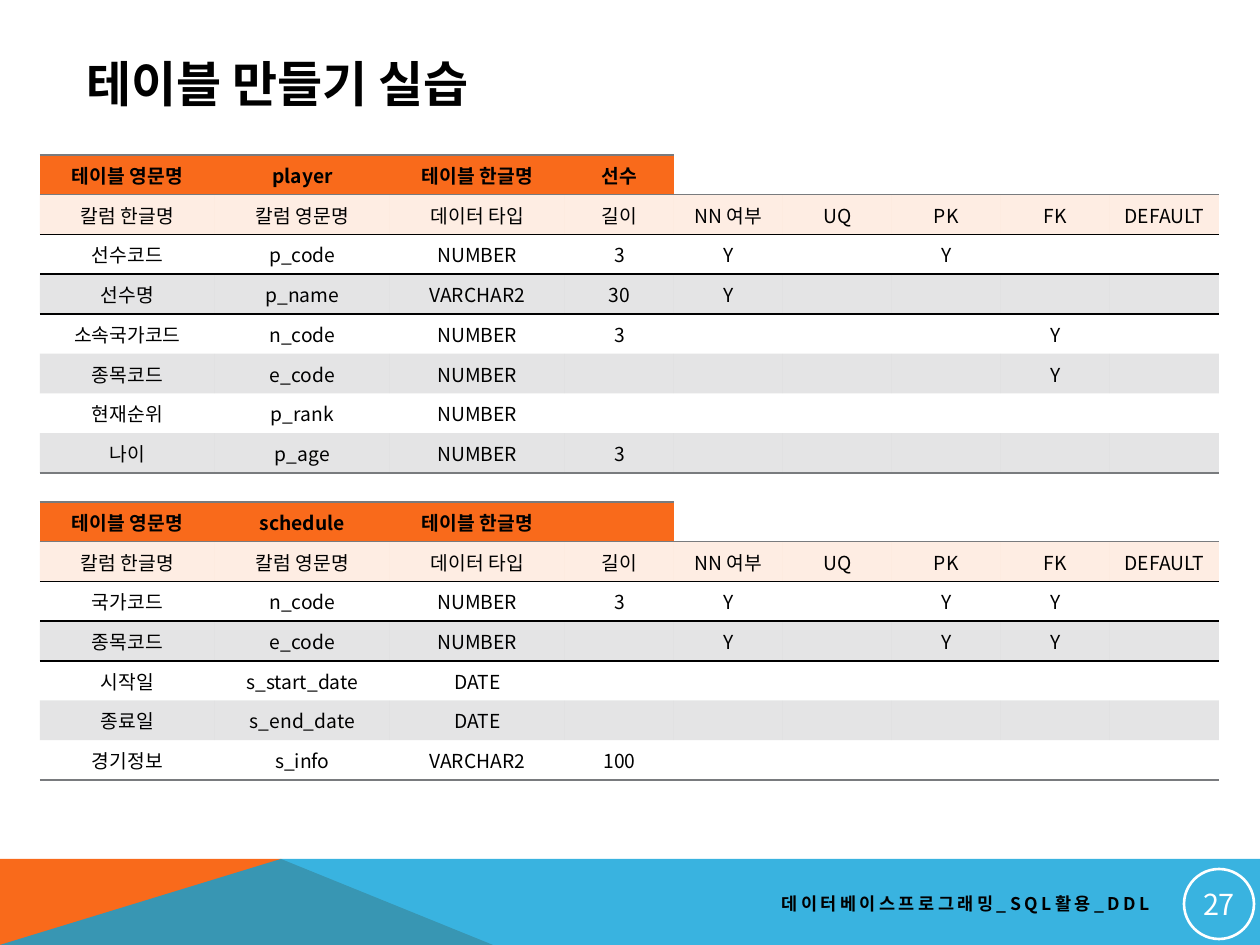
from lxml import etree
from pptx import Presentation, util as u
from pptx.dml.color import RGBColor
from pptx.enum import shapes, text
from pptx.oxml import ns

EMU_PER_PX = 914400 / 126
FONT = "Noto Sans CJK KR"
PLAIN_TABLE = "{2D5ABB26-0587-4C30-8999-92F81FD0307C}"

BLACK = RGBColor(0x00, 0x00, 0x00)
WHITE = RGBColor(0xFF, 0xFF, 0xFF)
ORANGE = RGBColor(0xF9, 0x6A, 0x1B)
PEACH = RGBColor(0xFB, 0xA6, 0x76)
BLUE = RGBColor(0x08, 0xA1, 0xD9)
GRAY = RGBColor(0x79, 0x7B, 0x7E)

COLUMN_WIDTHS = [175] * 3 + [109] * 6
FIELDS = ["칼럼 한글명", "칼럼 영문명", "데이터 타입", "길이",
          "NN 여부", "UQ", "PK", "FK", "DEFAULT"]
PLAYER = [
    ["테이블 영문명", "player", "테이블 한글명", "선수"],
    FIELDS,
    ["선수코드", "p_code", "NUMBER", "3", "Y", "", "Y"],
    ["선수명", "p_name", "VARCHAR2", "30", "Y"],
    ["소속국가코드", "n_code", "NUMBER", "3", "", "", "", "Y"],
    ["종목코드", "e_code", "NUMBER", "", "", "", "", "Y"],
    ["현재순위", "p_rank", "NUMBER"],
    ["나이", "p_age", "NUMBER", "3"],
]
SCHEDULE = [
    ["테이블 영문명", "schedule", "테이블 한글명"],
    FIELDS,
    ["국가코드", "n_code", "NUMBER", "3", "Y", "", "Y", "Y"],
    ["종목코드", "e_code", "NUMBER", "", "Y", "", "Y", "Y"],
    ["시작일", "s_start_date", "DATE"],
    ["종료일", "s_end_date", "DATE"],
    ["경기정보", "s_info", "VARCHAR2", "100"],
]


def px(*lengths):
    return [u.Emu(round(length * EMU_PER_PX)) for length in lengths]


def set_fill(fill, color, opacity=100):
    """Fill with a solid colour, or with nothing when color is None."""
    if color is None:
        fill.background()
        return
    fill.solid()
    fill.fore_color.rgb = color
    if opacity < 100:
        solid = fill._xPr.find(ns.qn("a:solidFill"))
        etree.SubElement(solid[0], ns.qn("a:alpha"), val=str(opacity * 1000))


def set_borders(cell, top, bottom):
    """Put 1 pt rules above and below a cell; None leaves a side bare."""
    properties = cell._tc.get_or_add_tcPr()
    position = 0
    for tag, color in (("a:lnT", top), ("a:lnB", bottom)):
        if color is None:
            continue
        line = etree.Element(ns.qn(tag), w=str(u.Pt(1)))
        solid = etree.SubElement(line, ns.qn("a:solidFill"))
        etree.SubElement(solid, ns.qn("a:srgbClr"), val=str(color))
        properties.insert(position, line)
        position += 1


def row_style(row, column, last):
    """Return fill colour, opacity, top rule and bottom rule of a cell."""
    if row == 0:
        return (ORANGE, 100, GRAY, GRAY) if column < 4 else (None, 100, None, GRAY)
    if row == 1:
        return PEACH, 20, GRAY, BLACK
    top = BLACK if row in (2, 3) else None
    bottom = BLACK if row == 2 else GRAY if row == last else None
    return (GRAY if row % 2 else None), 20, top, bottom


class SlideBuilder:
    def __init__(self, page):
        self.page = page

    def set_text(self, frame, words, size, color=BLACK, bold=False,
                 align=text.PP_ALIGN.CENTER, spacing=0):
        frame.word_wrap = True
        frame.vertical_anchor = text.MSO_ANCHOR.MIDDLE
        self.set_paragraph(frame.paragraphs[0], words, size, color, bold, align, spacing)

    def set_paragraph(self, para, words, size, color, bold, align, spacing=0):
        para.alignment = align
        font = para.font
        font.size, font.bold, font.name = u.Pt(size), bold, FONT
        font.color.rgb = color
        latin = font._rPr.find(ns.qn("a:latin"))
        latin.addnext(etree.Element(ns.qn("a:ea"), typeface=FONT))
        if spacing:
            font._rPr.set("spc", str(spacing * 100))
        if words:
            para.add_run().text = words
        else:
            para._p.get_or_add_endParaRPr().set("sz", str(size * 100))

    def title(self, words, *bounds):
        box = self.page.shapes.title
        box.left, box.top, box.width, box.height = px(*bounds)
        self.set_text(box.text_frame, words, 28, bold=True, align=text.PP_ALIGN.LEFT)

    def polygon(self, points, color, opacity=100):
        builder = self.page.shapes.build_freeform(*points[0], scale=EMU_PER_PX)
        builder.add_line_segments(points[1:], close=True)
        shape = builder.convert_to_shape()
        shape.shadow.inherit = False
        set_fill(shape.fill, color, opacity)
        shape.line.fill.background()

    def page_number(self, words, *bounds):
        circle = self.page.shapes.add_shape(shapes.MSO_SHAPE.OVAL, *px(*bounds))
        circle.shadow.inherit = False
        circle.fill.background()
        circle.line.color.rgb = WHITE
        circle.line.width = u.Pt(1.5)
        frame = circle.text_frame
        frame.margin_left, frame.margin_top, frame.margin_right, frame.margin_bottom = px(1, 1, 1, 1)
        self.set_text(frame, words, 16.5, WHITE)

    def footer(self, words, *bounds):
        box = self.page.shapes.add_textbox(*px(*bounds))
        self.set_text(box.text_frame, words, 10, bold=True,
                      align=text.PP_ALIGN.RIGHT, spacing=2)

    def definition_table(self, rows, left, top, height):
        frame = self.page.shapes.add_table(
            len(rows), len(COLUMN_WIDTHS), *px(left, top, sum(COLUMN_WIDTHS), height))
        table = frame.table
        table._tbl.tblPr.find(ns.qn("a:tableStyleId")).text = PLAIN_TABLE
        table.first_row = table.horz_banding = False
        for column, width in zip(table.columns, px(*COLUMN_WIDTHS)):
            column.width = width
        for row, values in enumerate(rows):
            for column in range(len(COLUMN_WIDTHS)):
                cell = table.cell(row, column)
                words = values[column] if column < len(values) else ""
                self.fill_cell(cell, words, row == 0, row_style(row, column, len(rows) - 1))

    def fill_cell(self, cell, words, bold, style):
        color, opacity, top, bottom = style
        cell.margin_left, cell.margin_right = px(9, 9)
        cell.margin_top, cell.margin_bottom = px(2, 2)
        cell.vertical_anchor = text.MSO_ANCHOR.MIDDLE
        set_fill(cell.fill, color, opacity)
        set_borders(cell, top, bottom)
        self.set_paragraph(cell.text_frame.paragraphs[0], words, 11, BLACK, bold,
                           text.PP_ALIGN.CENTER)


def main():
    deck = Presentation()
    deck.slide_width, deck.slide_height = px(1260, 945)
    slide = SlideBuilder(deck.slides.add_slide(deck.slide_layouts[5]))

    slide.polygon([(0, 945), (0, 859), (281, 859), (493, 945)], ORANGE)
    slide.polygon([(0, 945), (281, 859), (1260, 859), (1260, 945)], BLUE, 80)
    slide.title("테이블 만들기 실습", 74, 45, 1036, 76)
    slide.page_number("27", 1184, 869, 70, 70)
    slide.footer("데이터베이스프로그래밍_SQL활용_DDL", 451, 885, 711, 38)
    slide.definition_table(PLAYER, 40, 155, 318)
    slide.definition_table(SCHEDULE, 40, 502, 278)

    deck.save("out.pptx")


if __name__ == "__main__":
    main()
